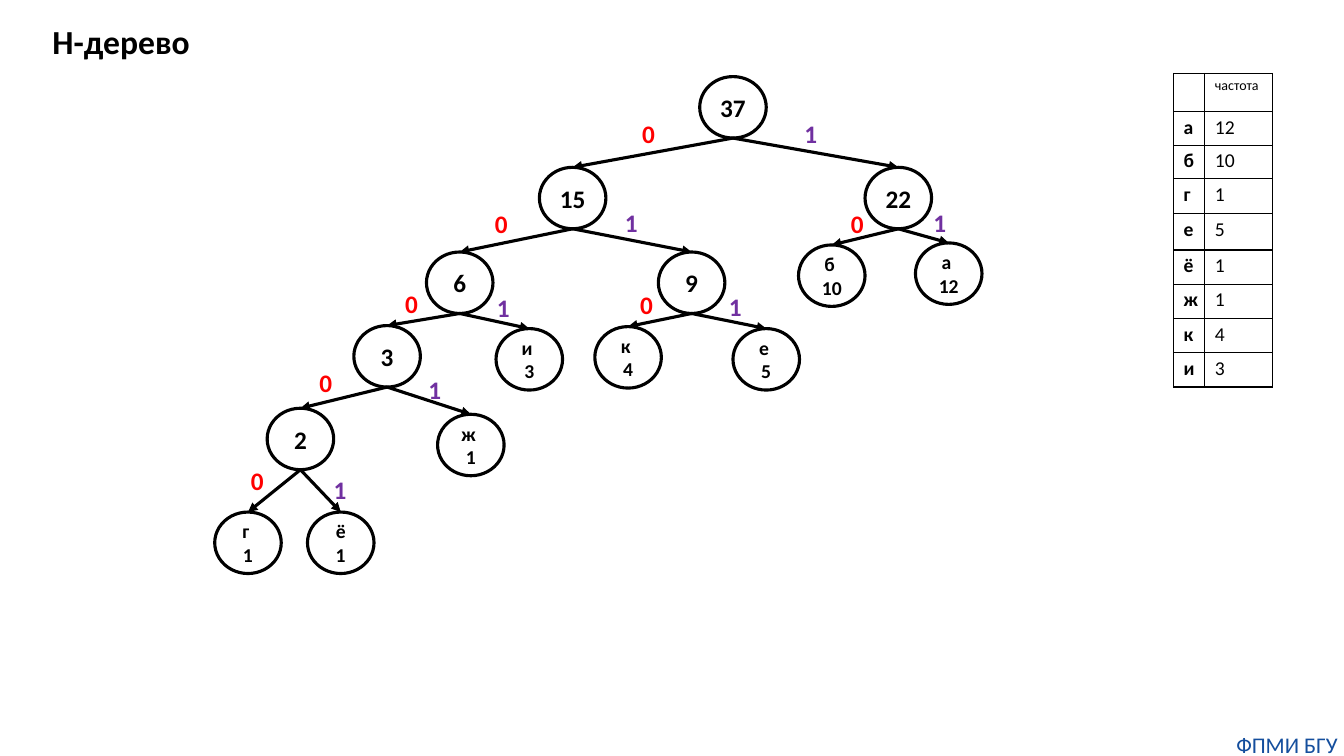
"""Build the slide with a Huffman tree and its letter frequency table."""
import lxml.etree
import pptx
import pptx.dml.color
import pptx.enum.shapes
import pptx.enum.text
import pptx.oxml
import pptx.oxml.ns
import pptx.util

Inches = pptx.util.Inches
Pt = pptx.util.Pt
RGBColor = pptx.dml.color.RGBColor
ALIGN = pptx.enum.text.PP_ALIGN
ANCHOR = pptx.enum.text.MSO_ANCHOR

BLACK = RGBColor(0x00, 0x00, 0x00)
RED = RGBColor(0xFF, 0x00, 0x00)
PURPLE = RGBColor(0x70, 0x30, 0xA0)
BLUE = RGBColor(0x14, 0x4E, 0x9D)

NODE_WIDTH, NODE_HEIGHT = 0.66, 0.61
LINE_WIDTH = Pt(2.25)

# name: left, top, lines of text
NODES = {
    "37": (6.94, 0.76, ["37"]),
    "15": (5.35, 1.66, ["15"]),
    "22": (8.58, 1.66, ["22"]),
    "6": (4.23, 2.5, ["6"]),
    "9": (6.53, 2.5, ["9"]),
    "б": (7.92, 2.43, ["б ", "10"]),
    "a": (9.08, 2.41, ["a ", "12"]),
    "3": (3.51, 3.23, ["3"]),
    "и": (4.92, 3.26, ["и ", "3"]),
    "к": (5.9, 3.24, ["к ", "4"]),
    "е": (7.27, 3.26, ["е ", "5"]),
    "2": (2.65, 4.05, ["2"]),
    "ж": (4.34, 4.11, ["ж ", "1"]),
    "г": (2.13, 5.08, ["г ", "1"]),
    "ё": (3.05, 5.08, ["ё", "1"]),
}
BRANCHES = [
    ("37", "15", "0", 6.27, 1.12), ("37", "22", "1", 7.88, 1.12),
    ("15", "6", "0", 4.81, 2.02), ("15", "9", "1", 6.1, 2.01),
    ("22", "б", "0", 8.34, 2.02), ("22", "a", "1", 9.16, 2.01),
    ("6", "3", "0", 3.92, 2.81), ("6", "и", "1", 4.83, 2.85),
    ("9", "к", "0", 6.25, 2.82), ("9", "е", "1", 7.13, 2.84),
    ("3", "2", "0", 3.07, 3.59), ("3", "ж", "1", 4.15, 3.66),
    ("2", "г", "0", 2.39, 4.57), ("2", "ё", "1", 3.21, 4.66),
]
BIT_COLORS = {"0": RED, "1": PURPLE}
FREQUENCIES = [
    ("", "частота"), ("а", "12"), ("б", "10"), ("г", "1"), ("е", "5"),
    ("ё", "1"), ("ж", "1"), ("к", "4"), ("и", "3"),
]
ROW_HEIGHTS = [0.33, 0.33, 0.33, 0.35, 0.36, 0.34, 0.34, 0.34, 0.34]


def write(frame, lines, size, color, bold=True, align=ALIGN.LEFT):
    for index, line in enumerate(lines):
        paragraph = frame.add_paragraph() if index else frame.paragraphs[0]
        paragraph.alignment = align
        run = paragraph.add_run()
        run.text = line
        run.font.name = "Calibri"
        run.font.size = Pt(size)
        run.font.bold = bold
        run.font.color.rgb = color


def add_label(left, top, width, height, text, size, color, bold=True):
    box = slide.shapes.add_textbox(Inches(left), Inches(top), Inches(width), Inches(height))
    box.text_frame.word_wrap = True
    write(box.text_frame, [text], size, color, bold)
    return box


presentation = pptx.Presentation()
presentation.slide_width = Inches(13.33)
presentation.slide_height = Inches(7.5)
slide = presentation.slides.add_slide(presentation.slide_layouts[5])

title = slide.shapes.title
title.left, title.top = Inches(0.42), Inches(0.16)
title.width, title.height = Inches(2.24), Inches(0.5)
title.text_frame.auto_size = pptx.enum.text.MSO_AUTO_SIZE.NONE
title.text_frame.vertical_anchor = ANCHOR.TOP
write(title.text_frame, ["Н-дерево"], 24, BLACK)

for left, top, lines in NODES.values():
    node = slide.shapes.add_shape(
        pptx.enum.shapes.MSO_SHAPE.OVAL,
        Inches(left), Inches(top), Inches(NODE_WIDTH), Inches(NODE_HEIGHT))
    node.shadow.inherit = False
    node.fill.background()
    node.line.color.rgb = BLACK
    node.line.width = LINE_WIDTH
    node.text_frame.vertical_anchor = ANCHOR.MIDDLE
    write(node.text_frame, lines, 18 if len(lines) == 1 else 14, BLACK, align=ALIGN.CENTER)

for parent, child, bit, label_left, label_top in BRANCHES:
    parent_left, parent_top, _ = NODES[parent]
    child_left, child_top, _ = NODES[child]
    branch = slide.shapes.add_connector(
        pptx.enum.shapes.MSO_CONNECTOR.STRAIGHT,
        Inches(parent_left + NODE_WIDTH / 2), Inches(parent_top + NODE_HEIGHT),
        Inches(child_left + NODE_WIDTH / 2), Inches(child_top))
    branch.line.color.rgb = BLACK
    branch.line.width = LINE_WIDTH
    arrow = lxml.etree.SubElement(branch.line._get_or_add_ln(), pptx.oxml.ns.qn("a:tailEnd"))
    arrow.set("type", "triangle")
    lxml.etree.SubElement(branch._element.spPr, pptx.oxml.ns.qn("a:effectLst"))
    add_label(label_left, label_top, 0.33, 0.4, bit, 18, BIT_COLORS[bit])

table_shape = slide.shapes.add_table(
    len(FREQUENCIES), 2, Inches(11.64), Inches(0.73), Inches(0.98), Inches(sum(ROW_HEIGHTS)))
table = table_shape.table
table.first_row = False
table.horz_banding = False
table.columns[0].width = Inches(0.31)
table.columns[1].width = Inches(0.67)
for row_index, (texts, height) in enumerate(zip(FREQUENCIES, ROW_HEIGHTS)):
    table.rows[row_index].height = Inches(height)
    for column_index, text in enumerate(texts):
        cell = table.cell(row_index, column_index)
        cell.margin_top = cell.margin_bottom = Inches(0.04)
        write(cell.text_frame, [text], 14 if row_index else 10, BLACK, bold=column_index == 0)
        properties = cell._tc.get_or_add_tcPr()
        for side in ("lnL", "lnR", "lnT", "lnB"):
            properties.append(pptx.oxml.parse_xml(
                f'<a:{side} {pptx.oxml.ns.nsdecls("a")} w="12700"><a:solidFill>'
                f'<a:srgbClr val="{BLACK}"/></a:solidFill></a:{side}>'))
        cell.fill.background()

footer = add_label(12.2, 7.25, 1.13, 0.27, "ФПМИ БГУ", 16, BLUE, bold=False)
frame = footer.text_frame
frame.margin_left = frame.margin_right = frame.margin_top = frame.margin_bottom = 0
frame.paragraphs[0].alignment = ALIGN.CENTER

presentation.save("out.pptx")
